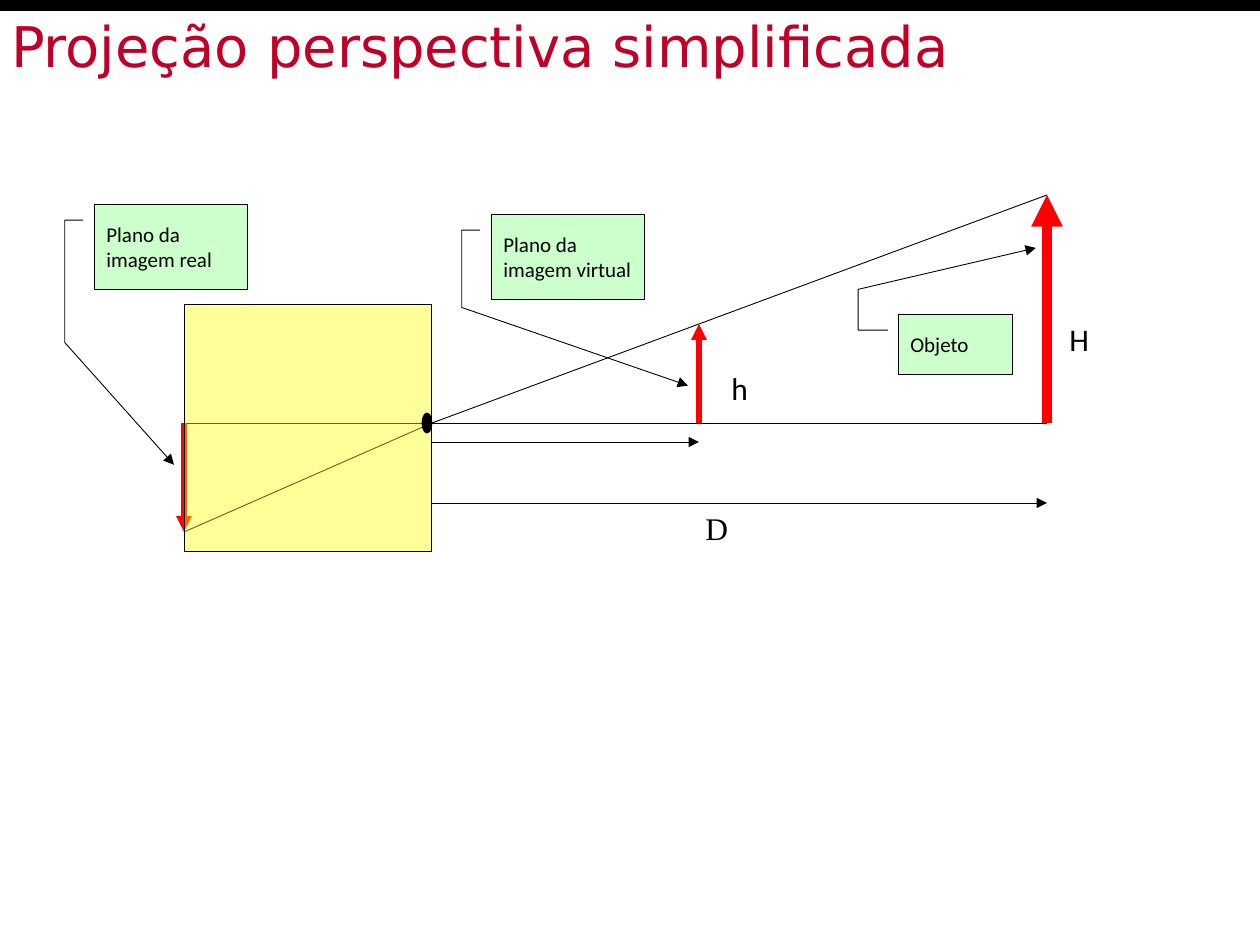
import pptx
import pptx.util
import pptx.dml.color
import pptx.enum.shapes
import pptx.enum.text
import pptx.oxml.ns
import lxml.etree

THEME = {
    "black": "000000", "title": "C00026", "ray": "FF0000", "box": "FFFF00", "note": "CCFFCC",
    "title_pt": 32, "label_pt": 18, "note_pt": 12, "thin": 0.5,
    "title_font": "DejaVu Sans", "sans": "Calibri", "serif": "Times New Roman",
}
PX = 914400 / 126
SHAPE = pptx.enum.shapes.MSO_SHAPE
ANCHOR = pptx.enum.text.MSO_ANCHOR
qn = pptx.oxml.ns.qn
rgb = pptx.dml.color.RGBColor.from_string


def write(sp, text, size, font=THEME["sans"], color=THEME["black"], wrap=True,
          anchor=ANCHOR.TOP):
    tf = sp.text_frame
    tf.word_wrap = wrap
    tf.vertical_anchor = anchor
    p = tf.paragraphs[0]
    p.alignment = pptx.enum.text.PP_ALIGN.LEFT
    r = p.add_run()
    r.text = text
    r.font.size = pptx.util.Pt(size)
    r.font.name = font
    r.font.color.rgb = rgb(color)
    return tf


def style_line(sp, color=THEME["black"], width=THEME["thin"], arrow=False):
    """Set the outline, with an arrowhead at its end if arrow is true."""
    sp.line.color.rgb = rgb(color)
    sp.line.width = pptx.util.Pt(width)
    if arrow:
        ln = sp.element.spPr.find(qn("a:ln"))
        lxml.etree.SubElement(ln, qn("a:tailEnd"), type="triangle")


prs = pptx.Presentation()
prs.slide_width = round(1260 * PX)
prs.slide_height = round(945 * PX)
s = prs.slides.add_slide(prs.slide_layouts[6])

# Top bar and title
bar = s.shapes.add_shape(SHAPE.RECTANGLE, 0, 0, prs.slide_width, round(11 * PX))
bar.shadow.inherit = False
bar.fill.solid()
bar.fill.fore_color.rgb = rgb(THEME["black"])
bar.line.fill.background()

title = s.shapes.add_textbox(0, 0, round(1418 * PX), round(175 * PX))
tf = write(title, "Projeção perspectiva simplificada", THEME["title_pt"],
           THEME["title_font"], THEME["title"])
tf.margin_left = round(11 * PX)
tf.margin_top = round(12 * PX)

# Rays, distances and the three upright arrows
axis, pinhole, real, virtual, objeto = 423, 432, 184, 699, 1047
top, real_tip = 195, 532
black, red, thin = THEME["black"], THEME["ray"], THEME["thin"]
for x1, y1, x2, y2, color, width, arrow in [
    (pinhole, axis, objeto, axis, black, thin, False),
    (pinhole, axis, objeto, top, black, thin, False),
    (objeto, axis, objeto, top, red, 6, True),
    (pinhole, 503, objeto, 503, black, thin, True),
    (virtual, axis, virtual, 324, red, 3, True),
    (pinhole, 442, virtual, 442, black, thin, True),
    (pinhole, axis, real, axis, black, thin, False),
    (real, axis, real, real_tip, red, 3, True),
    (pinhole, axis, real, real_tip, black, thin, False),
]:
    ends = [round(v * PX) for v in (x1, y1, x2, y2)]
    line = s.shapes.add_connector(pptx.enum.shapes.MSO_CONNECTOR.STRAIGHT, *ends)
    style_line(line, color, width, arrow)
    lxml.etree.SubElement(line.element.spPr, qn("a:effectLst"))

for text, x, y, w, font, wrap in [
    ("h", 719, 363, 59, THEME["sans"], True),
    ("H", 1057, 314, 59, THEME["sans"], True),
    ("D", 693, 503, 48, THEME["serif"], False),
]:
    label = s.shapes.add_textbox(*[round(v * PX) for v in (x, y, w, 50)])
    write(label, text, THEME["label_pt"], font, wrap=wrap)

# Camera box, pinhole and callouts
for kind, x, y, w, h, fill, text, adj in [
    (SHAPE.RECTANGLE, real, 304, 248, 248, THEME["box"], "", []),
    (SHAPE.OVAL, 422, 413, 10, 20, black, "", []),
    (SHAPE.LINE_CALLOUT_3, 94, 204, 154, 85, THEME["note"], "Plano da imagem real",
     [0.19, -0.07, 0.19, -0.19, 1.63, -0.19, 3.07, 0.52]),
    (SHAPE.LINE_CALLOUT_3, 491, 214, 154, 85, THEME["note"], "Plano da imagem virtual",
     [0.19, -0.07, 0.19, -0.19, 1.1, -0.19, 2.02, 1.28]),
    (SHAPE.LINE_CALLOUT_3, 898, 314, 114, 60, THEME["note"], "Objeto",
     [0.27, -0.09, 0.27, -0.35, -0.41, -0.35, -1.1, 1.21]),
]:
    sp = s.shapes.add_shape(kind, *[round(v * PX) for v in (x, y, w, h)])
    sp.shadow.inherit = False
    sp.fill.solid()
    sp.fill.fore_color.rgb = rgb(fill)
    style_line(sp, arrow=bool(adj))
    for i, value in enumerate(adj):
        sp.adjustments[i] = value
    if text:
        write(sp, text, THEME["note_pt"], anchor=ANCHOR.MIDDLE)
    if fill == THEME["box"]:
        clr = sp.element.spPr.find(qn("a:solidFill")).find(qn("a:srgbClr"))
        lxml.etree.SubElement(clr, qn("a:alpha"), val="40000")

prs.save("out.pptx")
